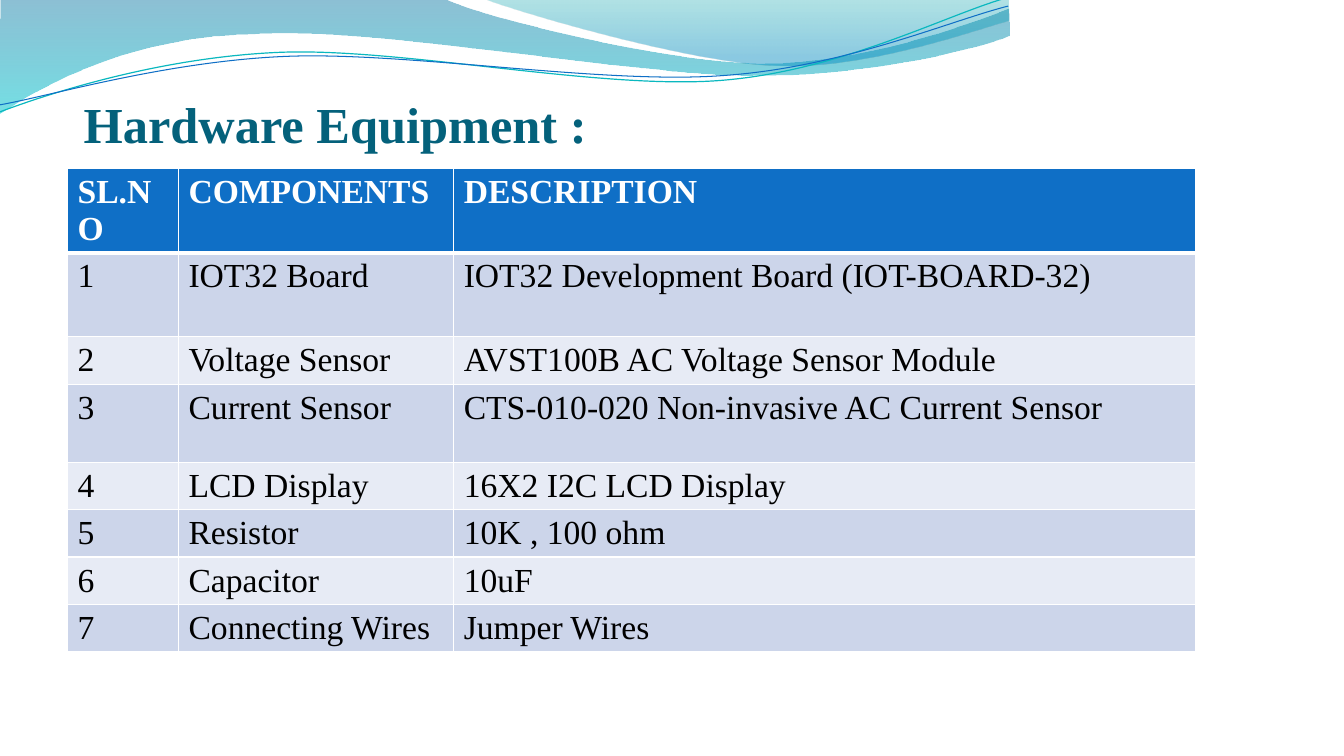
from lxml import etree
from pptx import Presentation
from pptx import util as u
from pptx.dml.color import RGBColor
from pptx.enum import text
from pptx.oxml import ns, parse_xml

PX = u.Inches(1) // 100
FONT = "Times New Roman"

TITLE_COLOR = RGBColor(0x04, 0x61, 0x7B)
BLUE = RGBColor(0x0F, 0x6F, 0xC6)
TEAL = RGBColor(0x0A, 0xB8, 0xBF)
WHITE = RGBColor(0xFF, 0xFF, 0xFF)
BLACK = RGBColor(0x00, 0x00, 0x00)
ODD_ROW = RGBColor(0xCC, 0xD5, 0xEA)
EVEN_ROW = RGBColor(0xE7, 0xEB, 0xF5)
BAND_TOP = RGBColor(0x00, 0x74, 0xA1)
BAND_BOTTOM = RGBColor(0x00, 0xC6, 0xCF)
CREST_TOP = RGBColor(0x00, 0xA1, 0xA9)
CREST_BOTTOM = RGBColor(0x00, 0x8B, 0xBF)

# Outlines: a pair is a straight step, six numbers are a Bezier curve
BAND = [(0, 0), (440, -1), (476, 17, 664, 63, 758, 63),
        (853, 63, 958, 26, 1000, 9), (1001, 36),
        (983, 44, 870, 76, 746, 75), (622, 75, 382, 28, 257, 34),
        (129, 36, 46, 83, -1, 113)]
CREST = [(479, -1), (509, 11, 682, 62, 769, 65),
         (856, 69, 961, 32, 1000, 21), (1000, 0)]
TEAL_WAVE = [(0, 111), (48, 93, 158, 57, 277, 52),
             (395, 47, 593, 89, 713, 80), (833, 71, 938, 15, 998, -2)]
BLUE_WAVE = [(0, 104), (47, 96, 164, 61, 283, 56),
             (403, 51, 597, 84, 717, 75), (836, 67, 941, 21, 1000, 6)]

# Table content
COLUMN_WIDTHS = [110, 273, 736]
ROW_HEIGHTS = [83, 83, 48, 77, 47, 47, 47, 47]
HEADER = ["SL.NO", "COMPONENTS", "DESCRIPTION"]
EQUIPMENT = [
    ("IOT32 Board", "IOT32 Development Board (IOT-BOARD-32)"),
    ("Voltage Sensor", "AVST100B AC Voltage Sensor Module"),
    ("Current Sensor", "CTS-010-020 Non-invasive AC Current Sensor"),
    ("LCD Display", "16X2 I2C LCD Display"),
    ("Resistor", "10K , 100 ohm"),
    ("Capacitor", "10uF"),
    ("Connecting Wires", "Jumper Wires"),
]


def set_attributes(target, values):
    for name, value in values.items():
        setattr(target, name, value)


def format_font(font, color, **values):
    set_attributes(font, {"name": FONT, **values})
    font.color.rgb = color


def add_outline(slide, outline, close):
    """Build the outline, then join each three curve points into a Bezier."""
    start, *steps = outline
    points = [step[i:i + 2] for step in steps for i in range(0, len(step), 2)]
    builder = slide.shapes.build_freeform(*start, scale=PX)
    builder.add_line_segments(points, close=close)
    shape = builder.convert_to_shape()
    shape.shadow.inherit = False
    segments = iter(list(shape.element.iter(ns.qn("a:lnTo"))))
    for step in steps:
        parts = [next(segments) for _ in range(len(step) // 2)]
        if len(parts) == 3:
            curve = etree.Element(ns.qn("a:cubicBezTo"))
            parts[0].addprevious(curve)
            for part in parts:
                curve.append(part[0])
                part.getparent().remove(part)
    return shape


def add_gradient_band(slide, outline, stops):
    shape = add_outline(slide, outline, True)
    shape.line.fill.background()
    shape.fill.background()
    stop_xml = "".join(
        f'<a:gs pos="{position * 1000}"><a:srgbClr val="{color}">'
        f'<a:alpha val="{alpha * 1000}"/></a:srgbClr></a:gs>'
        for position, color, alpha in stops)
    gradient = parse_xml(
        f'<a:gradFill {ns.nsdecls("a")} rotWithShape="1"><a:gsLst>{stop_xml}'
        '</a:gsLst><a:lin ang="5400000" scaled="1"/></a:gradFill>')
    no_fill = shape.element.spPr.find(ns.qn("a:noFill"))
    no_fill.getparent().replace(no_fill, gradient)


def add_wave_line(slide, outline, color, width):
    shape = add_outline(slide, outline, False)
    shape.fill.background()
    shape.line.color.rgb = color
    shape.line.width = u.Pt(width)


def place_title(slide, wording):
    title = slide.shapes.title
    title.element.getparent().append(title.element)  # in front of the waves
    set_attributes(title, {"left": 83 * PX, "top": 35 * PX,
                           "width": 900 * PX, "height": 117 * PX})
    frame = title.text_frame
    set_attributes(frame, {
        "text": wording, "word_wrap": True,
        "auto_size": text.MSO_AUTO_SIZE.NONE,
        "vertical_anchor": text.MSO_ANCHOR.BOTTOM,
        "margin_left": 0, "margin_right": 0,
        "margin_top": 5 * PX, "margin_bottom": 0})
    paragraph = frame.paragraphs[0]
    paragraph.alignment = text.PP_ALIGN.LEFT
    format_font(paragraph.runs[0].font, TITLE_COLOR, size=u.Pt(36), bold=True)


def set_borders(cell, widths):
    properties = cell._tc.get_or_add_tcPr()
    for side, width in widths.items():
        line = etree.SubElement(properties, ns.qn(f"a:ln{side}"),
                                w=str(u.Pt(width)))
        fill = etree.SubElement(line, ns.qn("a:solidFill"))
        etree.SubElement(fill, ns.qn("a:srgbClr"), val=str(WHITE))


def add_equipment_table(slide):
    rows = [HEADER] + [(str(number), *item)
                       for number, item in enumerate(EQUIPMENT, 1)]
    table = slide.shapes.add_table(
        len(rows), len(HEADER), 67 * PX, 167 * PX,
        sum(COLUMN_WIDTHS) * PX, sum(ROW_HEIGHTS) * PX).table
    for column, width in zip(table.columns, COLUMN_WIDTHS):
        column.width = width * PX
    for r, (row, height) in enumerate(zip(rows, ROW_HEIGHTS)):
        table.rows[r].height = height * PX
        is_header = r == 0
        row_color = BLUE if is_header else ODD_ROW if r % 2 else EVEN_ROW
        for c, wording in enumerate(row):
            cell = table.cell(r, c)
            set_borders(cell, {"L": 1, "R": 1, "T": 1,
                               "B": 3 if is_header else 1})
            cell.fill.solid()
            cell.fill.fore_color.rgb = row_color
            cell.text = wording
            format_font(cell.text_frame.paragraphs[0].runs[0].font,
                        WHITE if is_header else BLACK,
                        size=u.Pt(24), bold=is_header)


def main():
    presentation = Presentation()
    set_attributes(presentation, {"slide_width": 1333 * PX,
                                  "slide_height": 750 * PX})
    slide = presentation.slides.add_slide(presentation.slide_layouts[5])

    # Wave decoration along the top
    add_gradient_band(slide, BAND, [(0, BAND_TOP, 45), (100, BAND_BOTTOM, 55)])
    add_gradient_band(slide, CREST, [(0, CREST_TOP, 30), (80, CREST_BOTTOM, 45)])
    add_wave_line(slide, TEAL_WAVE, TEAL, 0.85)
    add_wave_line(slide, BLUE_WAVE, BLUE, 0.75)

    # Title and table
    place_title(slide, "Hardware Equipment :")
    add_equipment_table(slide)
    presentation.save("out.pptx")


if __name__ == "__main__":
    main()
